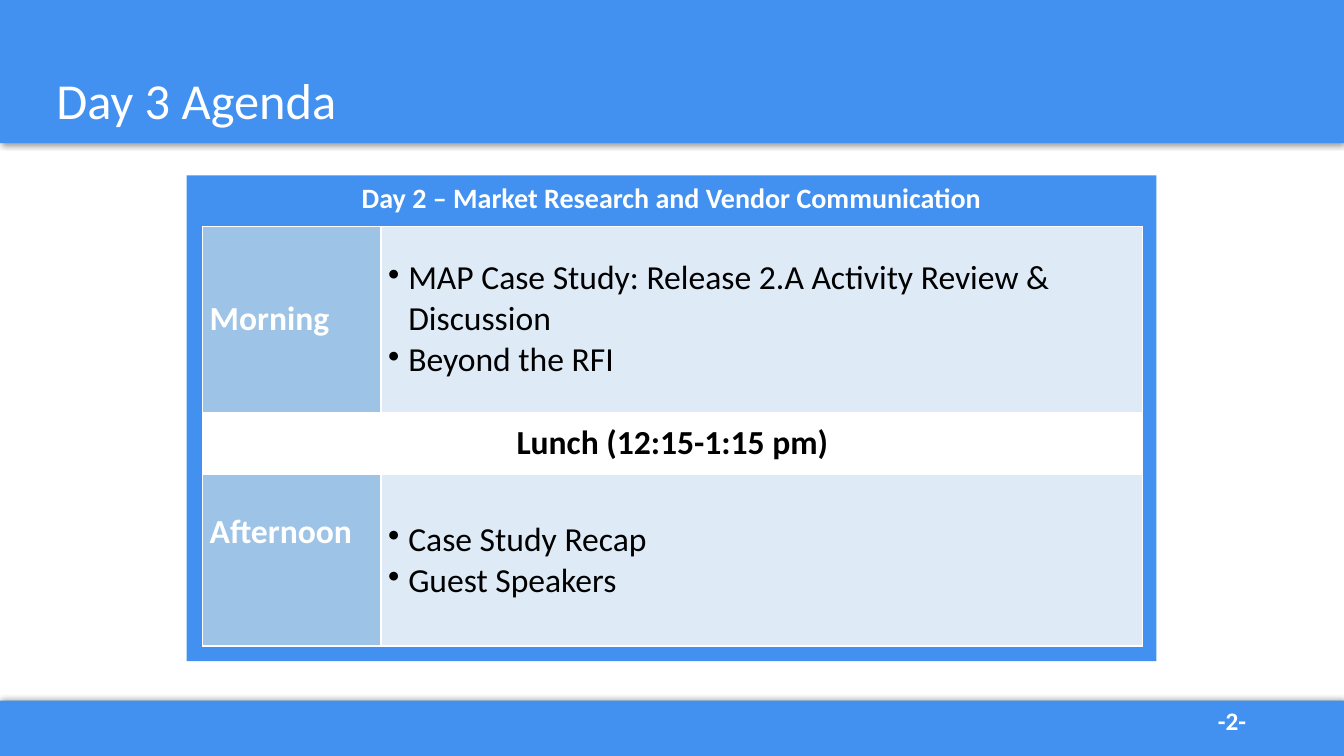
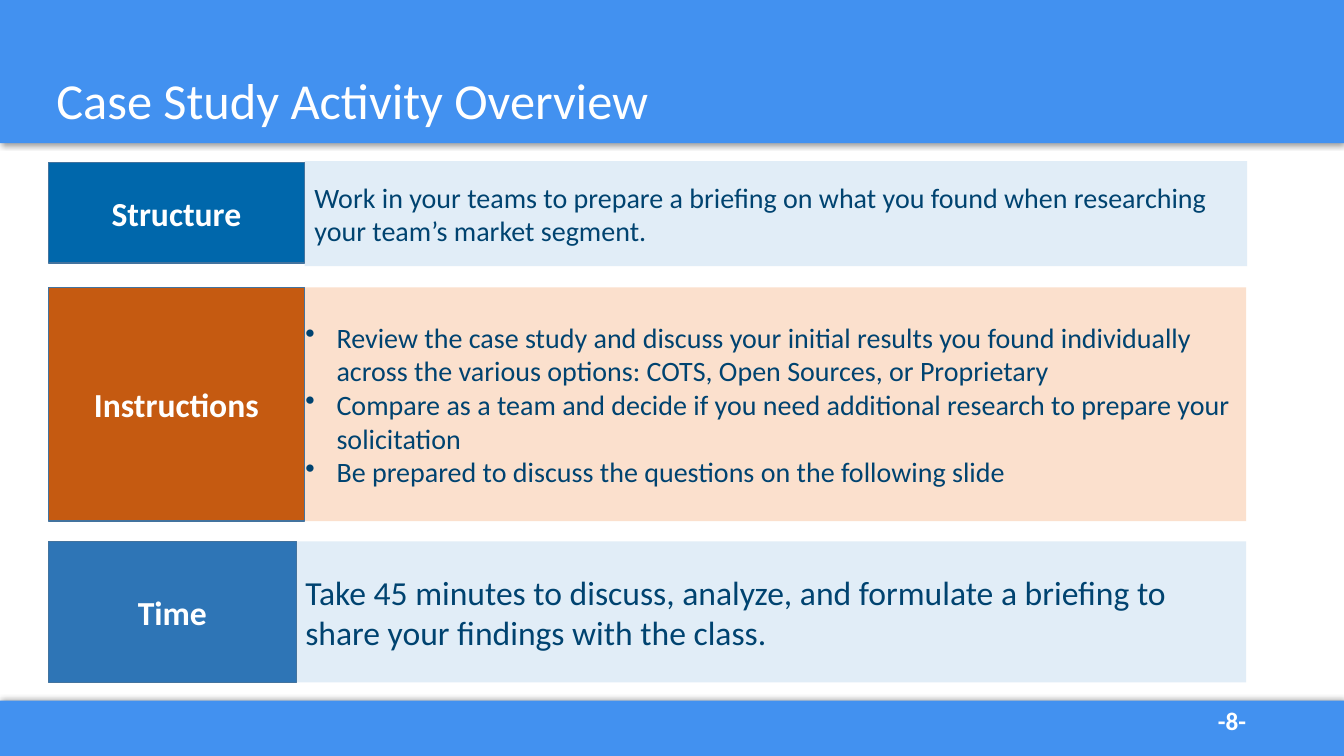
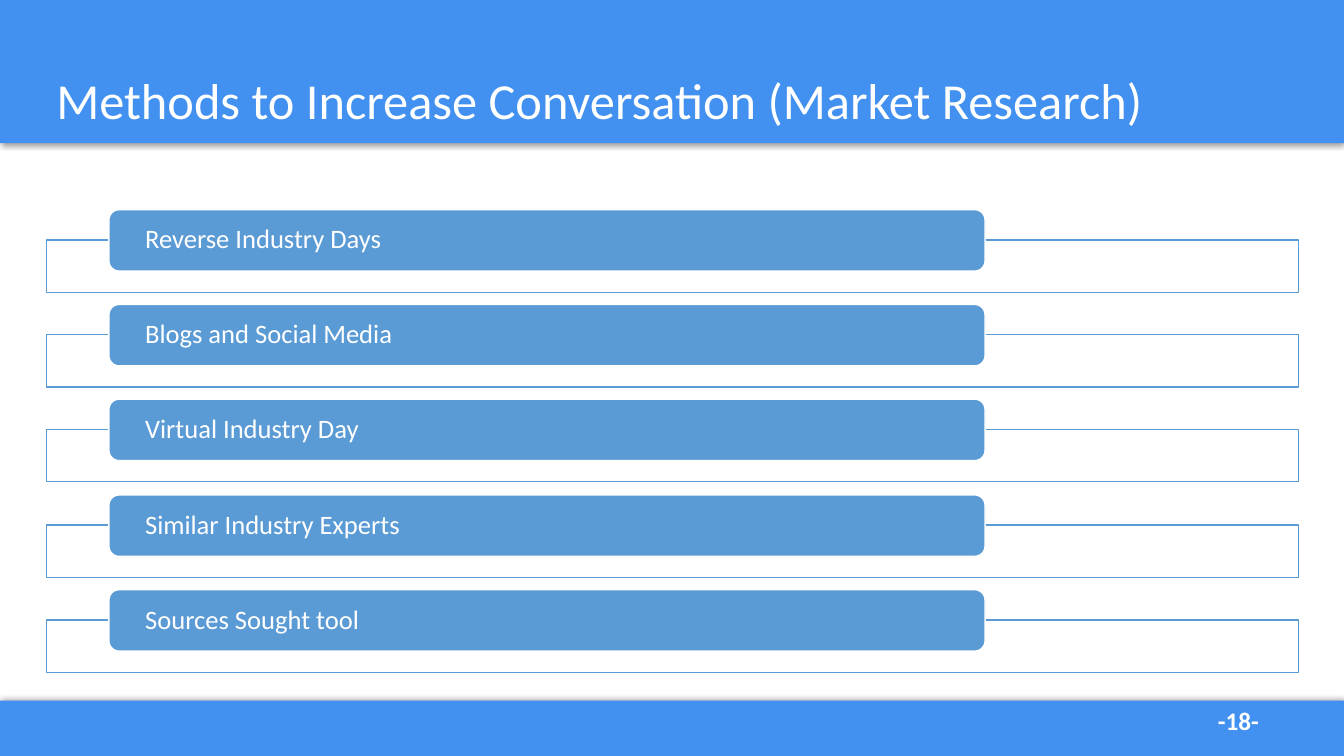
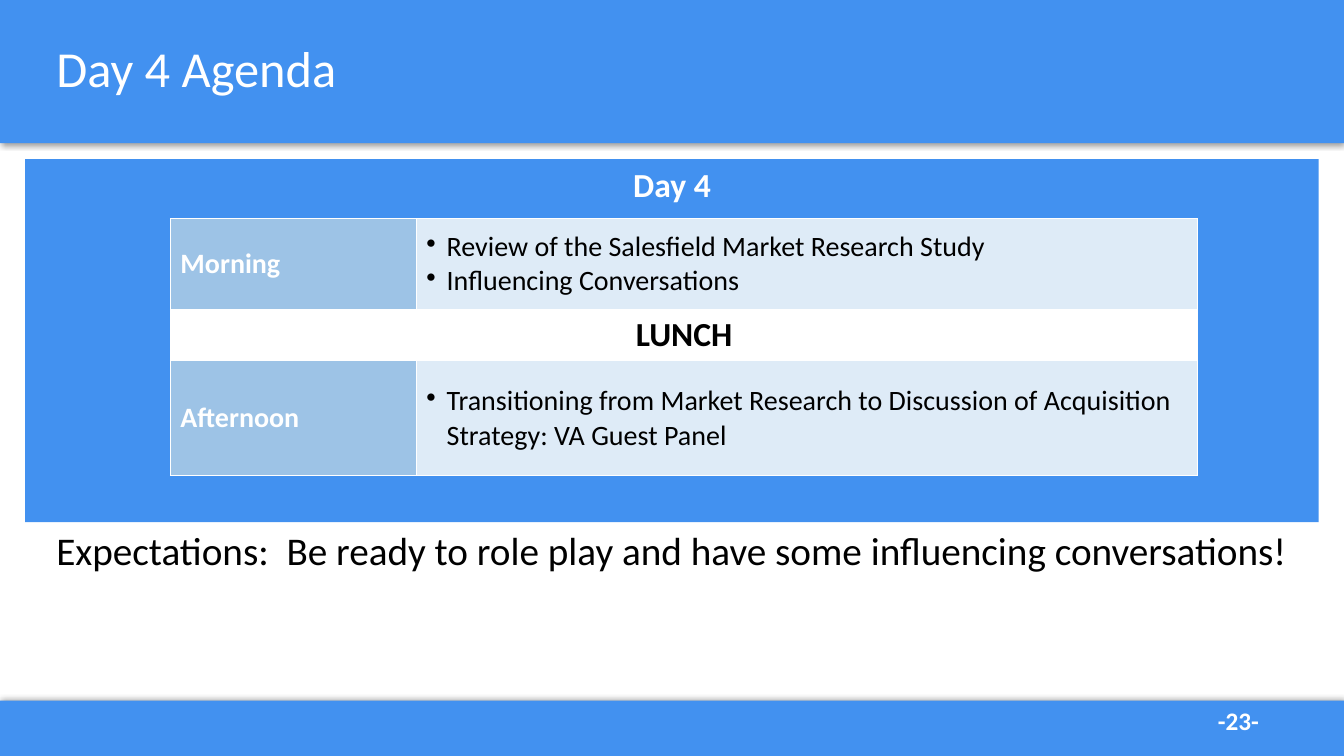
from dataclasses import dataclass

from lxml.etree import SubElement, fromstring
from pptx import Presentation
from pptx.dml.color import RGBColor
from pptx.enum.shapes import MSO_SHAPE as Preset
from pptx.enum.text import MSO_ANCHOR as Anchor, PP_ALIGN as Align
from pptx.oxml.ns import nsdecls, qn
from pptx.util import Emu, Pt

PX = 9144  # 100 px to the inch


@dataclass(frozen=True)
class Theme:
    font: str = "Calibri"
    band: str = "4291F0"
    white: str = "FFFFFF"
    black: str = "000000"
    navy: str = "004370"
    period: str = "9DC3E6"
    topics: str = "DEEBF7"
    pale_blue: str = "E1EDF7"
    pale_orange: str = "FBE0CD"
    deep_blue: str = "0067AB"
    orange: str = "C55A11"
    mid_blue: str = "2E75B6"
    label_line: str = "43739E"
    method: str = "5B9BD5"
    title_size: int = 36
    note_size: int = 28
    large_size: int = 24
    text_size: int = 20
    method_size: int = 19
    number_size: int = 18


THEME = Theme()


@dataclass(frozen=True)
class Box:
    left: int
    top: int
    width: int
    height: int

    def emu(self) -> tuple:
        return tuple(Emu(n * PX) for n in (self.left, self.top, self.width, self.height))


@dataclass(frozen=True)
class Activity:
    label: str
    text: str
    label_box: Box
    text_box: Box
    label_fill: str
    text_fill: str
    size: int = THEME.text_size
    hang: int = 0


@dataclass(frozen=True)
class Agenda:
    heading: str
    heading_size: int
    panel: Box
    table: Box
    columns: tuple
    rows: tuple
    morning: str
    lunch: str
    afternoon: str
    size: int
    inset: tuple
    afternoon_lift: int = 0


# Text and shapes

def write_text(frame, text: str, *, size: int, color: str = THEME.white, bold: bool = False,
               align=Align.LEFT, anchor=Anchor.TOP, hang: int = 0, spacing=None) -> None:
    """Write one paragraph a line; a hang above zero makes bullets."""
    frame.word_wrap = True
    frame.vertical_anchor = anchor
    for index, line in enumerate(text.split("\n")):
        para = frame.add_paragraph() if index else frame.paragraphs[0]
        para.alignment = align
        if spacing:
            para.line_spacing = spacing
        if hang:
            props = para._p.get_or_add_pPr()
            props.set("marL", str(hang * PX))
            props.set("indent", str(-hang * PX))
            SubElement(props, qn("a:buChar")).set("char", "•")
        span = para.add_run()
        span.text = line
        span.font.name = THEME.font
        span.font.size = Pt(size)
        span.font.bold = bold
        span.font.color.rgb = RGBColor.from_string(color)


def add_text(page, box: Box, text: str, **style) -> None:
    write_text(page.shapes.add_textbox(*box.emu()).text_frame, text, **style)


def add_block(page, box: Box, fill: str, line: str = "", preset=Preset.RECTANGLE):
    block = page.shapes.add_shape(preset, *box.emu())
    block.shadow.inherit = False
    block.fill.solid()
    block.fill.fore_color.rgb = RGBColor.from_string(fill)
    if line:
        block.line.color.rgb = RGBColor.from_string(line)
        block.line.width = Pt(1)
    else:
        block.line.fill.background()
    return block


def add_band(page, box: Box, shadow_angle: int) -> None:
    band = add_block(page, box, THEME.band)
    effects = band._element.spPr.find(qn("a:effectLst"))
    effects.append(fromstring(
        f'<a:outerShdw {nsdecls("a")} blurRad="{Pt(4)}" dist="{Pt(1)}" '
        f'dir="{shadow_angle * 60000}" rotWithShape="0"><a:srgbClr val="{THEME.black}">'
        '<a:alpha val="40000"/></a:srgbClr></a:outerShdw>'))


def add_page(deck, title: str, number: int, title_top: int = 30):
    """Start a page with its bands, number and title."""
    page = deck.slides.add_slide(deck.slide_layouts[6])
    add_band(page, Box(0, 695, 1333, 55), 270)
    add_band(page, Box(0, 0, 1333, 142), 90)
    add_text(page, Box(1198, 695, 98, 40), f"-{number}-", size=THEME.number_size, bold=True)
    add_text(page, Box(46, title_top, 1242, 145), title, size=THEME.title_size,
             anchor=Anchor.MIDDLE, spacing=0.9)
    return page


# Agenda table

def fill_cell(cell, text: str, fill: str, inset: tuple, lift: int = 0, **style) -> None:
    across, down = inset
    cell.margin_left = cell.margin_right = Emu(across * PX)
    cell.margin_top = Emu(down * PX)
    cell.margin_bottom = Emu((down + lift) * PX)
    write_text(cell.text_frame, text, **style)
    cell.vertical_anchor = Anchor.MIDDLE


def style_cell(cell, fill: str) -> None:
    cell.fill.solid()
    cell.fill.fore_color.rgb = RGBColor.from_string(fill)
    props = cell._tc.get_or_add_tcPr()
    for index, side in enumerate(("lnL", "lnR", "lnT", "lnB")):
        props.insert(index, fromstring(
            f'<a:{side} {nsdecls("a")} w="{Pt(1)}"><a:solidFill>'
            f'<a:srgbClr val="{THEME.white}"/></a:solidFill></a:{side}>'))


def add_agenda(page, agenda: Agenda) -> None:
    panel = add_block(page, agenda.panel, THEME.band)
    write_text(panel.text_frame, agenda.heading, size=agenda.heading_size, bold=True,
               align=Align.CENTER)
    table = page.shapes.add_table(3, 2, *agenda.table.emu()).table
    table.first_row = table.horz_banding = False
    for column, width in zip(table.columns, agenda.columns):
        column.width = Emu(width * PX)
    for row, height in zip(table.rows, agenda.rows):
        row.height = Emu(height * PX)
    # Periods of the day, with lunch across both columns
    periods = ((0, "Morning", agenda.morning, 0),
               (2, "Afternoon", agenda.afternoon, agenda.afternoon_lift))
    for row, period, topics, lift in periods:
        fill_cell(table.cell(row, 0), period, THEME.period, agenda.inset, lift,
                  size=agenda.size, bold=True)
        fill_cell(table.cell(row, 1), topics, THEME.topics, agenda.inset,
                  size=agenda.size, color=THEME.black, hang=20)
        style_cell(table.cell(row, 0), THEME.period)
        style_cell(table.cell(row, 1), THEME.topics)
    lunch = table.cell(1, 0)
    lunch.merge(table.cell(1, 1))
    fill_cell(lunch, agenda.lunch, THEME.white, agenda.inset, size=THEME.large_size,
              color=THEME.black, bold=True, align=Align.CENTER)
    for column in range(2):
        style_cell(table.cell(1, column), THEME.white)


# Activity rows and method bars

def add_activity(page, activity: Activity) -> None:
    body = add_block(page, activity.text_box, activity.text_fill)
    write_text(body.text_frame, activity.text, size=activity.size, color=THEME.navy,
               anchor=Anchor.MIDDLE, hang=activity.hang)
    label = add_block(page, activity.label_box, activity.label_fill, THEME.label_line)
    write_text(label.text_frame, activity.label, size=THEME.large_size, bold=True,
               align=Align.CENTER, anchor=Anchor.MIDDLE)


def add_method(page, index: int, name: str) -> None:
    top = 208 + round(index * 94.25)
    add_block(page, Box(46, top + 30, 1242, 52), THEME.white, THEME.method)
    bar = add_block(page, Box(108, top, 869, 61), THEME.method, THEME.white,
                    Preset.ROUNDED_RECTANGLE)
    frame = bar.text_frame
    frame.margin_left = frame.margin_right = Emu(33 * PX)
    frame.margin_top = frame.margin_bottom = 0
    write_text(frame, name, size=THEME.method_size, anchor=Anchor.MIDDLE, spacing=0.9)


# Content

DAY_3 = Agenda(
    "Day 2 – Market Research and Vendor Communication", THEME.text_size,
    Box(185, 174, 962, 482), Box(201, 225, 932, 416), (177, 755), (184, 62, 170),
    "MAP Case Study: Release 2.A Activity Review & Discussion\nBeyond the RFI",
    "Lunch (12:15-1:15 pm)", "Case Study Recap\nGuest Speakers",
    THEME.large_size, (7, 4), afternoon_lift=56)

DAY_4 = Agenda(
    "Day 4", THEME.large_size,
    Box(25, 158, 1283, 360), Box(169, 217, 1019, 255), (244, 775), (90, 51, 114),
    "Review of the Salesfield Market Research Study\nInfluencing Conversations",
    "LUNCH",
    "Transitioning from Market Research to Discussion of Acquisition Strategy: VA Guest Panel",
    THEME.text_size, (10, 5))

ACTIVITIES = (
    Activity("Structure",
             "Work in your teams to prepare a briefing on what you found when researching "
             "your team’s market segment.",
             Box(48, 161, 254, 100), Box(302, 160, 935, 104),
             THEME.deep_blue, THEME.pale_blue),
    Activity("Instructions",
             "Review the case study and discuss your initial results you found individually "
             "across the various options: COTS, Open Sources, or Proprietary\n"
             "Compare as a team and decide if you need additional research to prepare your "
             "solicitation\n"
             "Be prepared to discuss the questions on the following slide",
             Box(48, 285, 254, 232), Box(293, 285, 943, 232),
             THEME.orange, THEME.pale_orange, hang=31),
    Activity("Time",
             "Take 45 minutes to discuss, analyze, and formulate a briefing to share your "
             "findings with the class.",
             Box(48, 537, 246, 140), Box(293, 537, 943, 140),
             THEME.mid_blue, THEME.pale_blue, size=THEME.large_size),
)

METHODS = ("Reverse Industry Days", "Blogs and Social Media", "Virtual Industry Day",
           "Similar Industry Experts", "Sources Sought tool")


def main() -> None:
    deck = Presentation()
    deck.slide_width, deck.slide_height = Emu(1333 * PX), Emu(750 * PX)

    add_agenda(add_page(deck, "Day 3 Agenda", 2), DAY_3)

    page = add_page(deck, "Case Study Activity Overview", 8)
    for activity in ACTIVITIES:
        add_activity(page, activity)

    page = add_page(deck, "Methods to Increase Conversation (Market Research)", 18)
    for index, name in enumerate(METHODS):
        add_method(page, index, name)

    page = add_page(deck, "Day 4 Agenda", 23, title_top=-2)
    add_text(page, Box(46, 523, 1242, 183),
             "Expectations:  Be ready to role play and have some influencing conversations!",
             size=THEME.note_size, color=THEME.black, spacing=0.9)
    add_agenda(page, DAY_4)

    deck.save("out.pptx")


if __name__ == "__main__":
    main()
